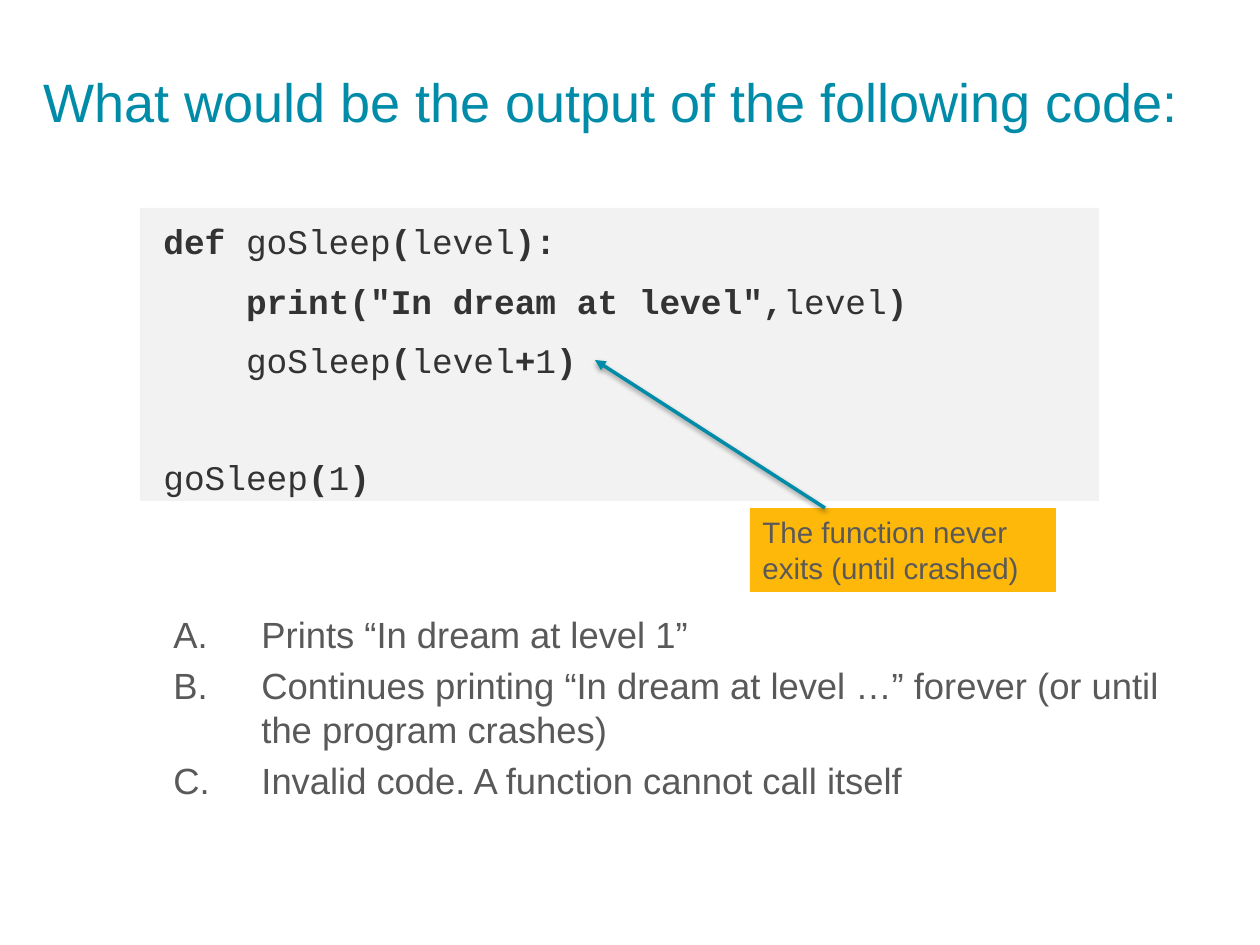
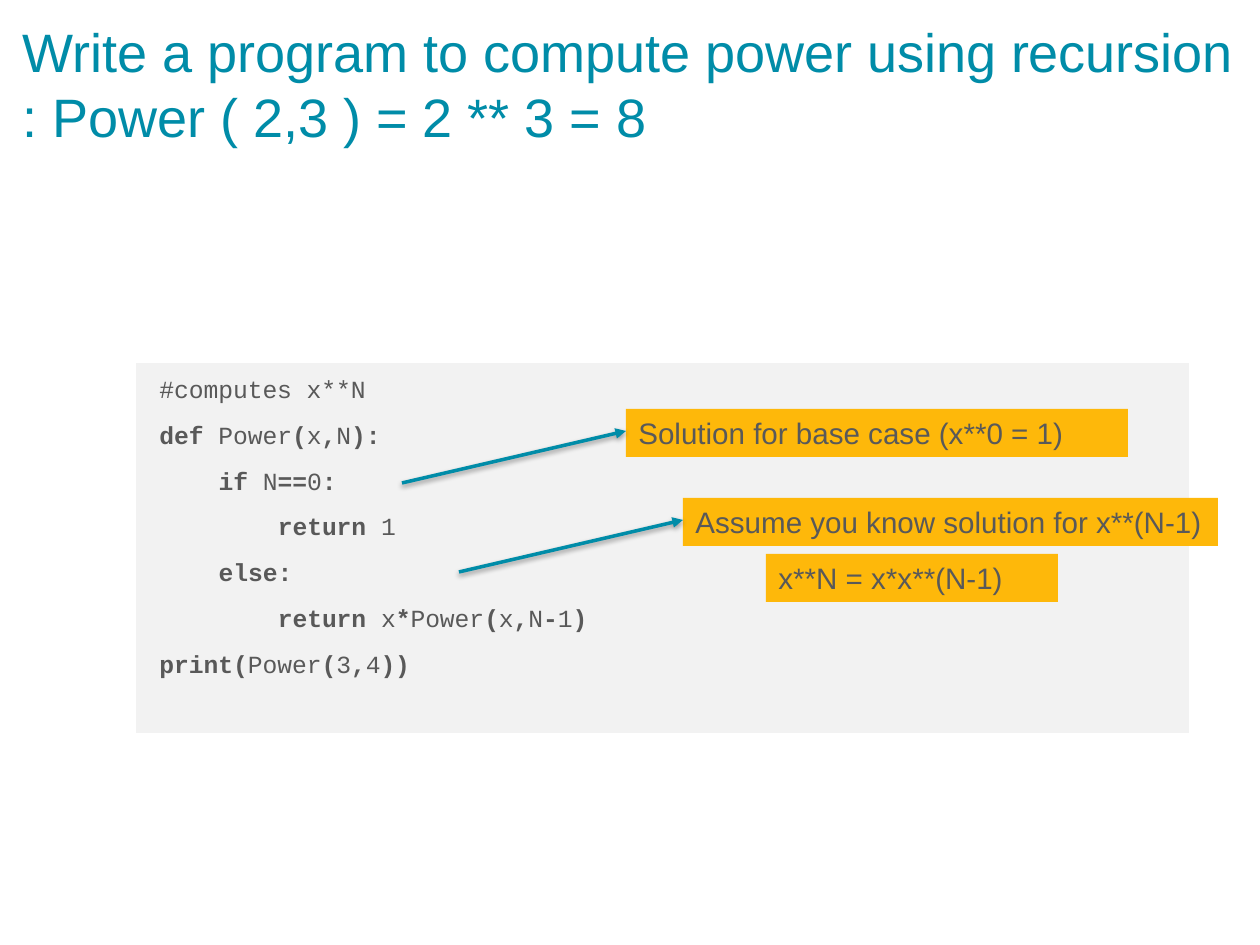
from pptx import Presentation
from pptx.dml.color import RGBColor
from pptx.enum.shapes import MSO_CONNECTOR as Connector, MSO_SHAPE as Shape
from pptx.enum.text import MSO_ANCHOR as Anchor, PP_ALIGN as Align
from pptx.oxml import parse_xml
from pptx.oxml.ns import nsdecls
from pptx.util import Pt

COLORS = {"teal": "008CA8", "grey": "595959", "dark": "333333",
          "panel": "F2F2F2", "callout": "FEB80A"}

# Content: boxes are (left, top, width, height) in px.
# In code, backticks switch bold; each line is (indent level, text, blank lines above).
SLIDES = [
    {
        "title": ("What would be the output of the following code:", (31, 26, 1167, 150)),
        "code": {
            "box": (140, 208, 959, 293), "size": 19.7, "color": "dark",
            "lines": [
                (0, "`def `goSleep`(`level`):`", 0),
                (1, "`print(\"In dream at level\",`level`)`", 0),
                (1, "goSleep`(`level`+`1`)`", 0),
                (0, "goSleep`(`1`)`", 1),
            ],
        },
        "callouts": [("The function never exits (until crashed)", (750, 508, 306, 84))],
        "arrows": [((825, 508), (595, 360))],
        "answers": ([
            "Prints “In dream at level 1”",
            "Continues printing “In dream at level …” forever (or until the program crashes)",
            "Invalid code. A function cannot call itself",
        ], (149, 606, 1026, 188)),
    },
    {
        "title": ("Write a program to compute power using recursion "
                  ": Power ( 2,3 ) = 2 ** 3 = 8", (10, 8, 1250, 150)),
        "code": {
            "box": (136, 363, 1053, 370), "size": 14.1, "color": "grey",
            "lines": [
                (0, "#computes x**N", 0),
                (0, "`def` Power`(`x`,`N`):`", 0),
                (1, "`if` N`==`0`:`", 0),
                (2, "`return` 1", 0),
                (1, "`else:`", 0),
                (2, "`return `x`*`Power`(`x`,`N`-`1`)`", 0),
                (0, "`print(`Power`(`3`,`4`))`", 0),
            ],
        },
        "callouts": [
            ("x**N = x*x**(N-1)", (766, 554, 292, 48)),
            ("Solution for base case (x**0 = 1)", (626, 409, 502, 48)),
            ("Assume you know solution for x**(N-1)", (683, 498, 535, 48)),
        ],
        "arrows": [((402, 483), (626, 431)), ((459, 572), (683, 520))],
    },
]

CODE_INDENT = 11
CODE_SPACING = 1.15
CODE_GAP = 6.8
CHAR_WIDTH = 0.6
LINE_HEIGHT = 1.133


def px(length):
    return round(length * 914400 / 126)


def rgb(name):
    return RGBColor.from_string(COLORS[name])


def add_text(paragraph, text, size, color="grey", font="Arial", margin=0, hanging=0,
             before=0, spacing=None):
    """Fill a paragraph; stretches between backticks become bold."""
    paragraph.alignment = Align.LEFT
    paragraph.space_before = Pt(before)
    if spacing:
        paragraph.line_spacing = spacing
    properties = paragraph._p.get_or_add_pPr()
    properties.set("marL", str(px(margin)))
    properties.set("indent", str(px(-hanging)))
    for index, part in enumerate(text.split("`")):
        if part:
            run = paragraph.add_run()
            run.text = part
            run.font.name = font
            run.font.size = Pt(size)
            run.font.bold = index % 2 == 1
            run.font.color.rgb = rgb(color)


def add_box(slide, box, fill=None, anchor=Anchor.TOP):
    """Add a text box, or a filled rectangle, and return its text frame."""
    place = [px(length) for length in box]
    if fill:
        shape = slide.shapes.add_shape(Shape.RECTANGLE, *place)
        shape.shadow.inherit = False
        shape.fill.solid()
        shape.fill.fore_color.rgb = rgb(fill)
        shape.line.fill.background()
    else:
        shape = slide.shapes.add_textbox(*place)
    frame = shape.text_frame
    frame.word_wrap = True
    frame.vertical_anchor = anchor
    return frame


def paragraphs(frame, items):
    """Pair each item with a paragraph of the frame."""
    for index, item in enumerate(items):
        yield (frame.add_paragraph() if index else frame.paragraphs[0]), item


def add_title(slide, text, box):
    frame = add_box(slide, box, anchor=Anchor.MIDDLE)
    add_text(frame.paragraphs[0], text, 30.9, color="teal")


def add_code(slide, box, size, color, lines):
    frame = add_box(slide, box, fill="panel")
    level_width = 4 * CHAR_WIDTH * size * 126 / 72
    line_pitch = size * LINE_HEIGHT * CODE_SPACING + CODE_GAP
    for paragraph, (level, text, blanks) in paragraphs(frame, lines):
        add_text(paragraph, text, size, color=color, font="Courier New",
                 margin=CODE_INDENT + level * level_width,
                 before=CODE_GAP + blanks * line_pitch, spacing=CODE_SPACING)


def add_answers(slide, answers, box):
    frame = add_box(slide, box)
    for paragraph, answer in paragraphs(frame, answers):
        add_text(paragraph, answer, 20.8, margin=100, hanging=88, before=4.2)
        paragraph._p.get_or_add_pPr().append(parse_xml(
            f'<a:buAutoNum {nsdecls("a")} type="alphaUcPeriod"/>'))


def add_arrow(slide, start, end):
    ends = [px(length) for length in start + end]
    arrow = slide.shapes.add_connector(Connector.STRAIGHT, *ends)
    arrow.line.color.rgb = rgb("teal")
    arrow.line.width = Pt(2)
    arrow.line._get_or_add_ln().append(parse_xml(
        f'<a:tailEnd {nsdecls("a")} type="triangle"/>'))
    arrow._element.spPr.append(parse_xml(
        f'<a:effectLst {nsdecls("a")}>'
        f'<a:outerShdw blurRad="{Pt(3.1)}" dist="{Pt(1.6)}" dir="5400000" rotWithShape="0">'
        '<a:srgbClr val="000000"><a:alpha val="38000"/></a:srgbClr>'
        '</a:outerShdw></a:effectLst>'))


def main():
    presentation = Presentation()
    presentation.slide_width = px(1260)
    presentation.slide_height = px(945)
    for content in SLIDES:
        slide = presentation.slides.add_slide(presentation.slide_layouts[6])
        add_title(slide, *content["title"])
        add_code(slide, **content["code"])
        for text, box in content["callouts"]:
            add_text(add_box(slide, box, fill="callout").paragraphs[0], text, 16.9)
        for start, end in content["arrows"]:
            add_arrow(slide, start, end)
        if "answers" in content:
            add_answers(slide, *content["answers"])
    presentation.save("out.pptx")


if __name__ == "__main__":
    main()
